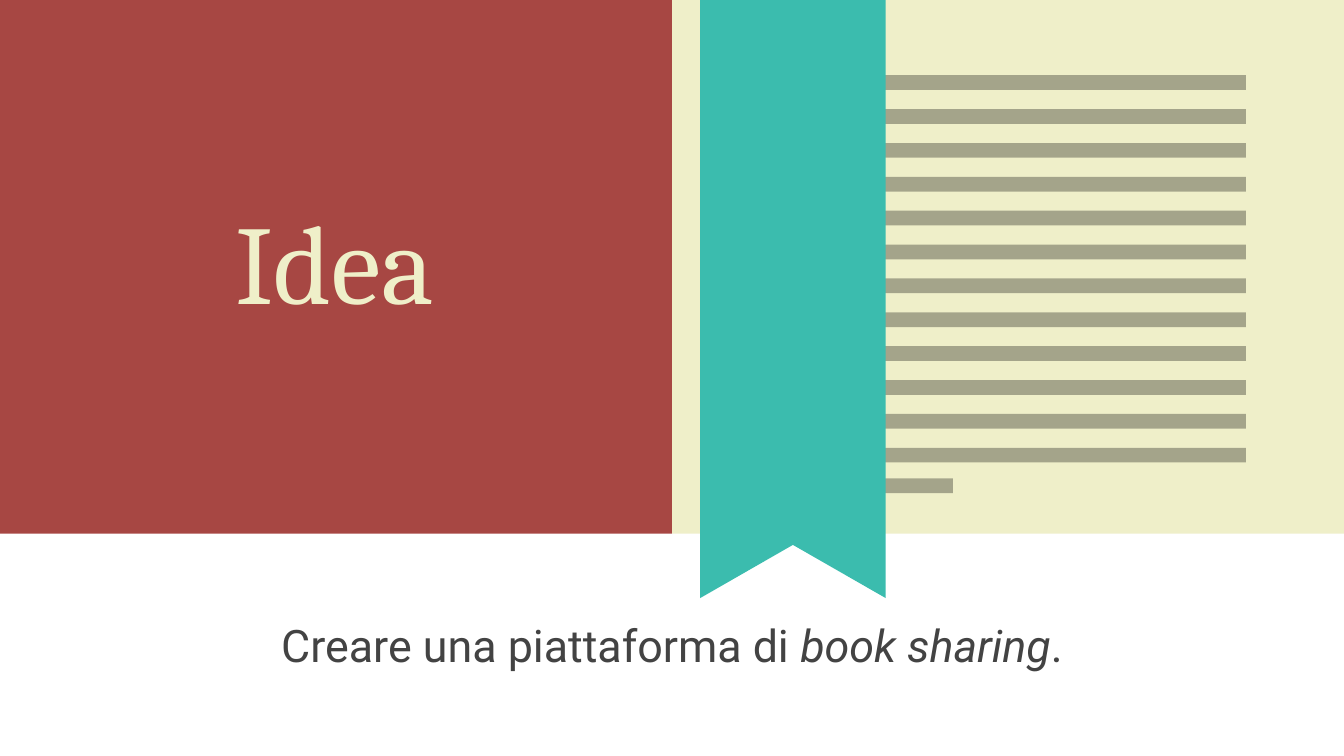
from dataclasses import dataclass

from lxml.etree import SubElement
from pptx import Presentation
from pptx.dml.color import RGBColor
from pptx.enum.shapes import MSO_SHAPE as SHAPE
from pptx.enum.text import MSO_ANCHOR, MSO_AUTO_SIZE, PP_ALIGN
from pptx.oxml.ns import qn
from pptx.util import Inches, Pt


@dataclass(frozen=True)
class Theme:
    cover: str = "A74743"
    page: str = "EFEFC9"
    band: str = "FFFFFF"
    ribbon: str = "3BBCAE"
    ink: str = "000000"
    ink_alpha: int = 31
    body: str = "434343"
    title_font: str = "Cambria"
    body_font: str = "Roboto"
    title_size: int = 60
    body_size: int = 24


THEME = Theme()
SLIDE_W = 10
SLIDE_H = SLIDE_W * 9 / 16
BAND_TOP = 3.97


def add_block(slide, box, color, kind=SHAPE.RECTANGLE, alpha=None):
    """Add a borderless filled shape; alpha is its opacity in percent."""
    sp = slide.shapes.add_shape(kind, *map(Inches, box))
    sp.shadow.inherit = False
    sp.line.fill.background()
    sp.fill.solid()
    sp.fill.fore_color.rgb = RGBColor.from_string(color)
    if alpha is not None:
        srgb = sp._element.spPr.find(qn("a:solidFill")).find(qn("a:srgbClr"))
        SubElement(srgb, qn("a:alpha")).set("val", str(alpha * 1000))
    return sp


def fill_placeholder(sp, box, runs, font, size, color):
    """Place a placeholder and write (text, italic) runs into it."""
    sp.left, sp.top, sp.width, sp.height = map(Inches, box)
    tf = sp.text_frame
    tf.word_wrap = True
    tf.auto_size = MSO_AUTO_SIZE.NONE
    tf.vertical_anchor = MSO_ANCHOR.MIDDLE
    tf.margin_left = tf.margin_right = Inches(0.1)
    tf.margin_top = tf.margin_bottom = Inches(0.1)
    p = tf.paragraphs[0]
    p.alignment = PP_ALIGN.CENTER
    p.space_before = Pt(0)
    for text, italic in runs:
        r = p.add_run()
        r.text = text
        r.font.name = font
        r.font.size = Pt(size)
        r.font.italic = italic
        r.font.color.rgb = RGBColor.from_string(color)


def add_text_lines(slide, box, count=13, thickness=0.11, last_width=1.49):
    """Fill the box with bars like lines of print, the last one short."""
    left, top, width, height = box
    pitch = 0.252
    bars = [(top + i * pitch, width) for i in range(count - 1)]
    bars.append((top + height - thickness, last_width))
    for bar_top, bar_width in bars:
        add_block(slide, (left, bar_top, bar_width, thickness),
                  THEME.ink, alpha=THEME.ink_alpha)


def add_ribbon(slide, box):
    """Add a bookmark: a chevron turned upwards so that it fills the box."""
    left, top, width, height = box
    turned = (left + (width - height) / 2, top + (height - width) / 2,
              height, width)
    sp = add_block(slide, turned, THEME.ribbon, SHAPE.CHEVRON)
    sp.adjustments[0] = 0.287
    sp.rotation = 270


def build_idea_slide(prs):
    slide = prs.slides.add_slide(prs.slide_layouts[0])
    slide.background.fill.solid()
    slide.background.fill.fore_color.rgb = RGBColor.from_string(THEME.page)
    title, subtitle = slide.placeholders

    blocks = [
        add_block(slide, (0, 0, SLIDE_W / 2, SLIDE_H), THEME.cover),
        add_block(slide, (0, BAND_TOP, SLIDE_W, SLIDE_H - BAND_TOP), THEME.band),
    ]
    for sp in blocks:  # move behind the placeholders
        title._element.addprevious(sp._element)

    fill_placeholder(title, (0.34, 0.81, 4.3, 2.24), [("Idea", False)],
                     THEME.title_font, THEME.title_size, THEME.page)
    fill_placeholder(subtitle, (0, 4.29, SLIDE_W, 1.01),
                     [("Creare una piattaforma di ", False),
                      ("book sharing", True), (".", False)],
                     THEME.body_font, THEME.body_size, THEME.body)
    add_text_lines(slide, (5.6, 0.56, 3.67, 3.11))
    add_ribbon(slide, (5.21, -0.99, 1.38, 5.44))


def main():
    prs = Presentation()
    prs.slide_width, prs.slide_height = Inches(SLIDE_W), Inches(SLIDE_H)
    build_idea_slide(prs)
    prs.save("out.pptx")


if __name__ == "__main__":
    main()
